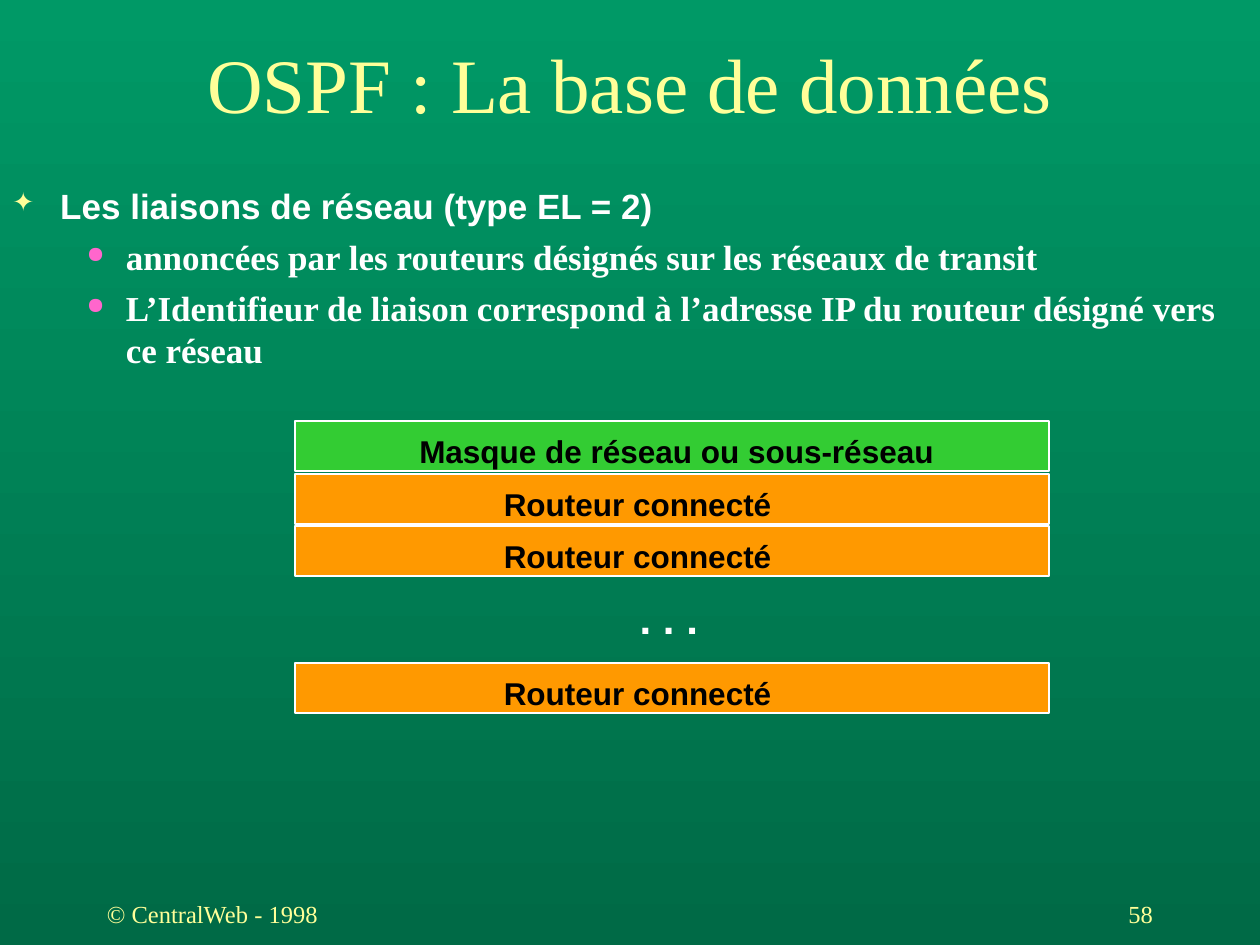
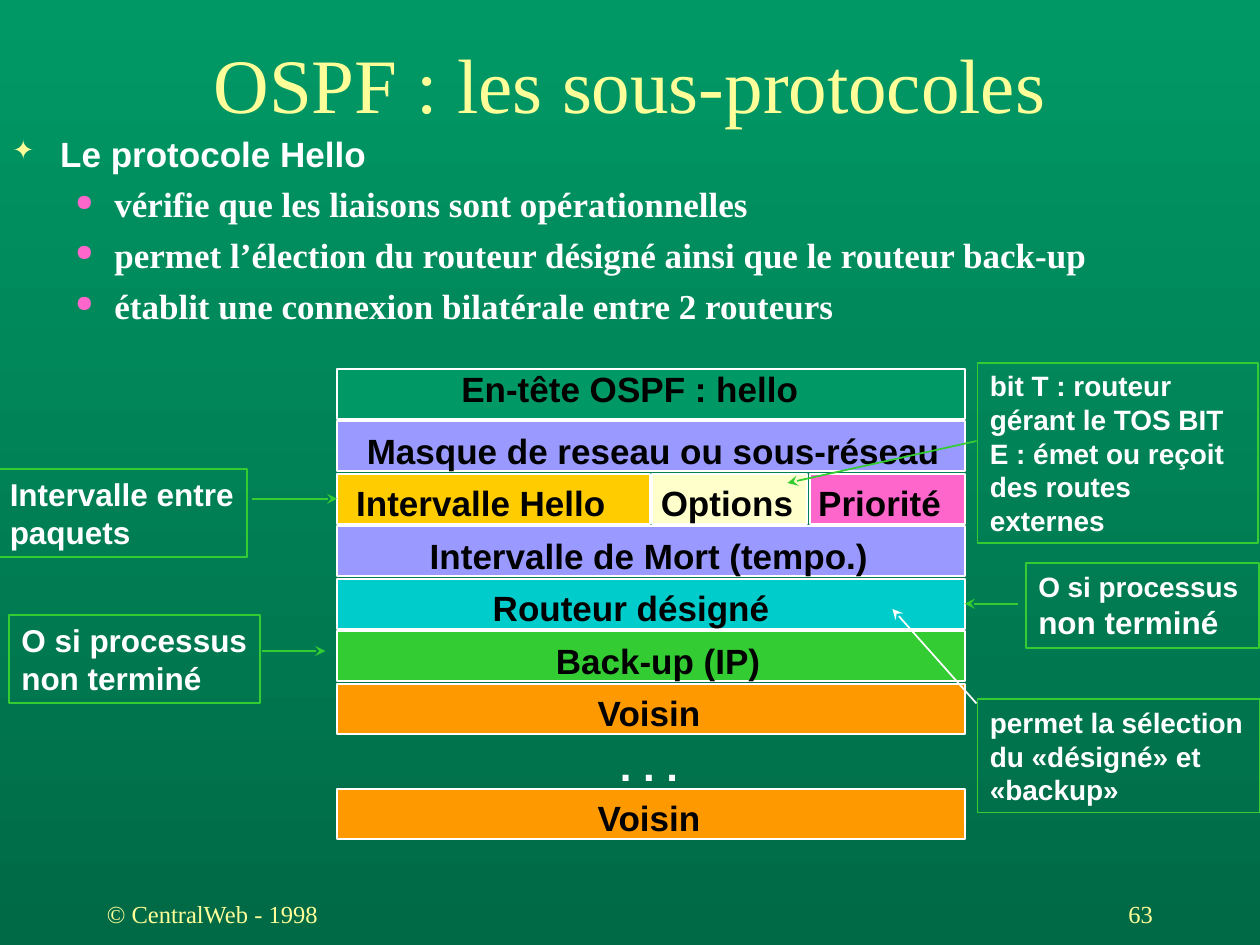
from typing import NamedTuple, Optional

from lxml import etree
from pptx import Presentation
from pptx.dml.color import RGBColor
from pptx.enum.shapes import MSO_CONNECTOR, MSO_SHAPE
from pptx.enum.text import MSO_ANCHOR, MSO_AUTO_SIZE, PP_ALIGN
from pptx.oxml.ns import qn
from pptx.util import Inches, Pt

RECT, LINE = MSO_SHAPE.RECTANGLE, MSO_CONNECTOR.STRAIGHT
MIDDLE, TOP = MSO_ANCHOR.MIDDLE, MSO_ANCHOR.TOP
LEFT, CENTER, RIGHT = PP_ALIGN.LEFT, PP_ALIGN.CENTER, PP_ALIGN.RIGHT
GROW, FIXED = MSO_AUTO_SIZE.SHAPE_TO_FIT_TEXT, MSO_AUTO_SIZE.NONE
SIDE_LEFT, SIDE_RIGHT = 1, 3

# The slide is a grid of 24 columns and 18 rows of square cells.
WIDE, HIGH = 10, 7.5
CELL = WIDE / 24
GAP = 0.02 / CELL

HEX = {
    "jade": "009966", "pine": "006A46", "cream": "FFFF99", "white": "FFFFFF",
    "black": "000000", "green": "33CC33", "orange": "FF9900", "pink": "FF66CC",
    "lilac": "9999FF", "gold": "FFCC00", "ivory": "FFFFCC", "cyan": "00CCCC",
}


class Font(NamedTuple):
    name: str
    size: float
    color: str
    bold: bool = False


class Bullet(NamedTuple):
    mark: str
    color: str
    percent: int
    hang: float


class Area(NamedTuple):
    """A place on the grid, in columns and rows."""
    col: float
    row: float
    cols: float
    rows: float


class Bar(NamedTuple):
    """A packet field with its label; dip is the label's drop in rows."""
    text: str
    fill: str
    col: float
    row: float
    cols: float
    text_col: float
    text_cols: float
    dip: float


class Note(NamedTuple):
    area: Area
    lines: list[str]
    sizes: list[int]
    wrap: bool = True


class Arrow(NamedTuple):
    start: tuple[float, float]
    end: tuple[float, float]
    color: str = "green"
    join: Optional[str] = None
    side: int = SIDE_LEFT


class Page(NamedTuple):
    title: str
    number: str
    body_row: float
    indent: float
    head: str
    points: list[str]
    bars: list[Bar]
    label_size: int
    dots: Area
    notes: list[Note]
    arrows: list[Arrow]


TITLE = Font("Times New Roman", 44, "cream")
FOOT = Font("Times New Roman", 14, "cream")
HEAD = Font("Arial", 20, "white", True)
POINT = Font("Times New Roman", 20, "white", True)
DOTS = Font("Arial", 24, "white", True)
STAR = Bullet("✦", "cream", 75, 0.38)
DOT = Bullet("●", "pink", 65, 0.31)

TITLE_AREA = Area(0, 0.74, 24, 1.66)
FOOT_AREA = Area(1.8, 16.8, 5, 1.2)
PAGE_AREA = Area(17.2, 16.8, 5, 1.2)


def rgb(name: str) -> RGBColor:
    return RGBColor.from_string(HEX[name])


def grid(cells: float) -> int:
    return Inches(cells * CELL)


def place(area: Area) -> list[int]:
    return [grid(part) for part in area]


def write(par, text: str, font: Font) -> None:
    run = par.add_run()
    run.text = text
    for key in ("name", "bold"):
        setattr(run.font, key, getattr(font, key))
    run.font.size = Pt(font.size)
    run.font.color.rgb = rgb(font.color)


def fill_text(shape, lines: list[tuple[str, Font]], align=LEFT, anchor=TOP,
              wrap: bool = True, size=FIXED) -> None:
    frame = shape.text_frame
    style = {"word_wrap": wrap, "auto_size": size, "vertical_anchor": anchor}
    for key, value in style.items():
        setattr(frame, key, value)
    for spot, (text, font) in enumerate(lines):
        par = frame.add_paragraph() if spot else frame.paragraphs[0]
        par.alignment = align
        write(par, text, font)


def add_text(slide, area: Area, text: str, font: Font, **style) -> None:
    box = slide.shapes.add_textbox(*place(area))
    fill_text(box, [(text, font)], **style)


def add_rect(slide, area: Area, edge: str, fill: Optional[str] = None):
    rect = slide.shapes.add_shape(RECT, *place(area))
    rect.shadow.inherit = False
    rect.line.color.rgb = rgb(edge)
    rect.line.width = Pt(1)
    if fill:
        rect.fill.solid()
        rect.fill.fore_color.rgb = rgb(fill)
    else:
        rect.fill.background()
    return rect


def set_bullet(par, bullet: Bullet, indent: float) -> None:
    props = par._p.get_or_add_pPr()
    props.set("marL", str(Inches(indent)))
    props.set("indent", str(-Inches(bullet.hang)))
    tint = etree.SubElement(props, qn("a:buClr"))
    etree.SubElement(tint, qn("a:srgbClr"), val=HEX[bullet.color])
    etree.SubElement(props, qn("a:buSzPct"), val=str(bullet.percent * 1000))
    etree.SubElement(props, qn("a:buChar"), char=bullet.mark)


def add_body(slide, page: Page) -> None:
    box = slide.shapes.add_textbox(*place(Area(0, page.body_row, 23.8, 13.4)))
    frame = box.text_frame
    frame.word_wrap = True
    par = frame.paragraphs[0]
    set_bullet(par, STAR, STAR.hang)
    write(par, page.head, HEAD)
    for text in page.points:
        par = frame.add_paragraph()
        par.level = 1
        set_bullet(par, DOT, page.indent)
        par.space_before = Pt(5)
        write(par, text, POINT)


def add_bar(slide, bar: Bar, size: int):
    area = Area(bar.col + GAP / 2, bar.row + GAP / 2, bar.cols - GAP, 1 - GAP)
    rect = add_rect(slide, area, "white", bar.fill)
    label = Area(bar.text_col, bar.row + bar.dip, bar.text_cols, 1)
    add_text(slide, label, bar.text, Font("Arial", size, "black", True),
             wrap=False, size=GROW)
    return rect


def add_note(slide, note: Note) -> None:
    rect = add_rect(slide, note.area, "green")
    lines = [(text, Font("Arial", size, "white", True))
             for text, size in zip(note.lines, note.sizes)]
    fill_text(rect, lines, wrap=note.wrap, size=GROW)


def add_arrow(slide, arrow: Arrow, rects: dict) -> None:
    ends = [grid(part) for part in arrow.start + arrow.end]
    line = slide.shapes.add_connector(LINE, *ends)
    line.line.color.rgb = rgb(arrow.color)
    line.line.width = Pt(1)
    if arrow.join:
        line.end_connect(rects[arrow.join], arrow.side)
    props = line._element.spPr
    etree.SubElement(props.find(qn("a:ln")), qn("a:tailEnd"), type="stealth")
    etree.SubElement(props, qn("a:effectLst"))


def paint(slide) -> None:
    """Shade the background from top to bottom."""
    fill = slide.background.fill
    fill.gradient()
    fill.gradient_angle = 270
    for stop, name, spot in zip(fill.gradient_stops, ("jade", "pine"), (0, 1)):
        stop.color.rgb = rgb(name)
        stop.position = spot


def add_page(deck, page: Page) -> None:
    slide = deck.slides.add_slide(deck.slide_layouts[6])
    paint(slide)
    add_text(slide, TITLE_AREA, page.title, TITLE, align=CENTER, anchor=MIDDLE)
    add_body(slide, page)
    rects = {bar.text: add_bar(slide, bar, page.label_size) for bar in page.bars}
    add_text(slide, page.dots, ". . .", DOTS, wrap=False, size=GROW)
    for note in page.notes:
        add_note(slide, note)
    for arrow in page.arrows:
        add_arrow(slide, arrow, rects)
    add_text(slide, PAGE_AREA, page.number, FOOT, align=RIGHT, anchor=MIDDLE)
    add_text(slide, FOOT_AREA, "© CentralWeb - 1998", FOOT, anchor=MIDDLE)


def link_bar(text: str, fill: str, row: float, col: float, cols: float) -> Bar:
    return Bar(text, fill, 5.6, row, 14.4, col, cols, 0.12)


def hello_bar(text: str, fill: str, row: float, text_col: float,
              text_cols: float, col: float = 6.4, cols: float = 12,
              dip: float = 0.06) -> Bar:
    return Bar(text, fill, col, row, cols, text_col, text_cols, dip)


LINKS = Page(
    "OSPF : La base de données", "58", 3.4, 0.9,
    "Les liaisons de réseau (type EL = 2)",
    ["annoncées par les routeurs désignés sur les réseaux de transit",
     "L’Identifieur de liaison correspond à l’adresse IP du routeur désigné "
     "vers ce réseau"],
    [link_bar("Masque de réseau ou sous-réseau", "green", 8, 7.75, 10.3)]
    + [link_bar("Routeur connecté", "orange", row, 9.36, 5.76)
       for row in (9, 10, 12.6)],
    18, Area(11.95, 11.16, 1.82, 1.2), [], [],
)

HELLO = Page(
    "OSPF : les sous-protocoles", "63", 2.4, 0.81,
    "Le protocole Hello",
    ["vérifie que les liaisons sont opérationnelles",
     "permet l’élection du routeur désigné ainsi que le routeur back-up",
     "établit une connexion bilatérale entre 2 routeurs"],
    [hello_bar("En-tête OSPF : hello", "jade", 7, 8.55, 6.9, dip=-0.12),
     hello_bar("Masque de reseau ou sous-réseau", "lilac", 8, 6.75, 11.4),
     hello_bar("Intervalle Hello", "gold", 9, 6.55, 5.24, 6.4, 6),
     hello_bar("Options", "ivory", 9, 12.35, 3, 12.4, 3),
     hello_bar("Priorité", "pink", 9, 15.35, 2.84, 15.4, 3),
     hello_bar("Intervalle de Mort (tempo.)", "lilac", 10, 7.95, 8.84),
     hello_bar("Routeur désigné (IP)", "cyan", 11, 9.15, 7),
     hello_bar("Back-up (IP)", "green", 12, 10.35, 4.4)]
    + [hello_bar("Voisin", "orange", row, 11.15, 2.5) for row in (13, 15)],
    20, Area(11.57, 13.97, 1.82, 1.2),
    [Note(Area(-0.05, 8.93, 4.75, 1.68), ["Intervalle entre", "paquets"],
          [18, 18], False),
     Note(Area(19.54, 10.73, 4.44, 1.61), ["O si processus", "non terminé"],
          [16, 18]),
     Note(Area(0.17, 11.71, 4.78, 1.68), ["O si processus", "non terminé"],
          [18, 18], False),
     Note(Area(18.62, 6.91, 5.35, 3.43),
          ["bit T : routeur gérant le TOS BIT E : émet ou reçoit des routes "
           "externes"], [16]),
     Note(Area(18.62, 13.32, 5.38, 2.16),
          ["permet la sélection du «désigné» et «backup»"], [16])],
    [Arrow((4.8, 9.5), (6.4, 9.5), join="Intervalle Hello"),
     Arrow((19.4, 11.5), (18.4, 11.5), join="Routeur désigné (IP)",
           side=SIDE_RIGHT),
     Arrow((5, 12.4), (6.2, 12.4)),
     Arrow((18.6, 8.4), (15, 9.2)),
     Arrow((18.6, 13.4), (17, 11.6), "white")],
)


def main() -> None:
    deck = Presentation()
    deck.slide_width, deck.slide_height = Inches(WIDE), Inches(HIGH)
    for page in (LINKS, HELLO):
        add_page(deck, page)
    deck.save("out.pptx")


if __name__ == "__main__":
    main()
